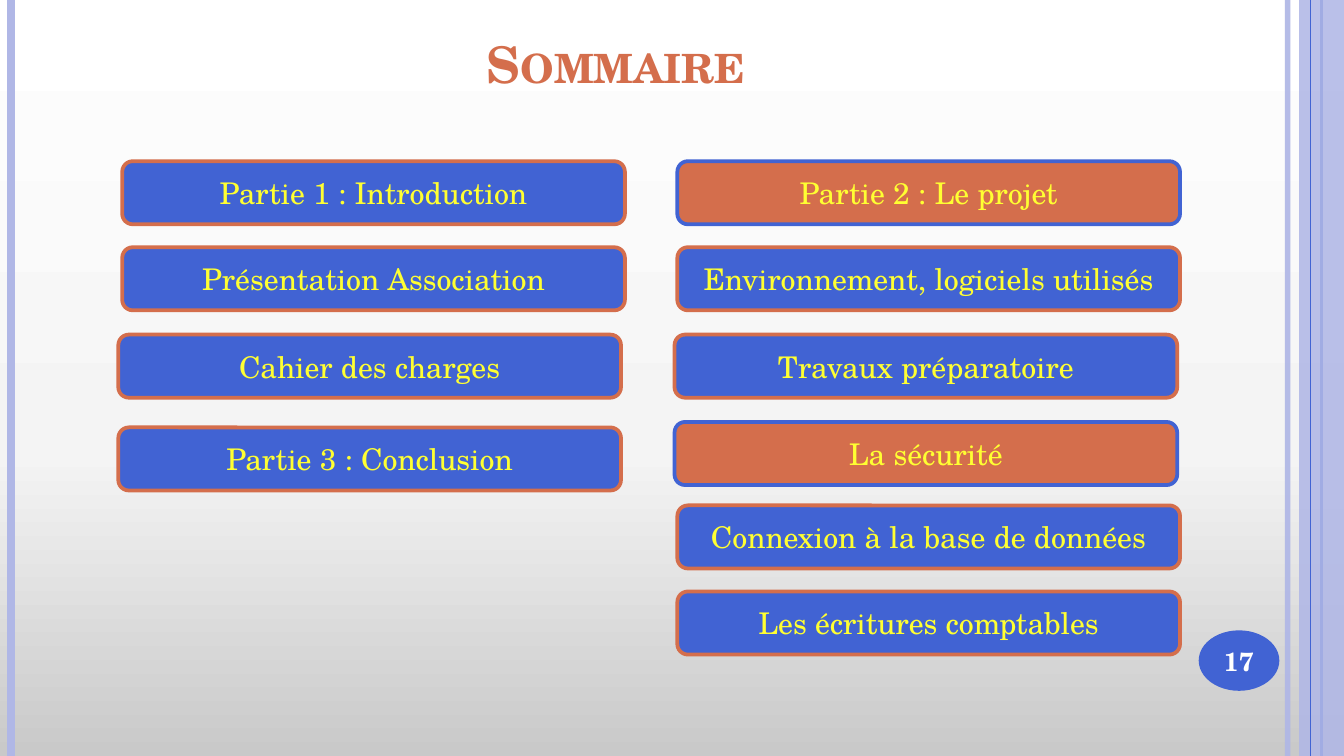
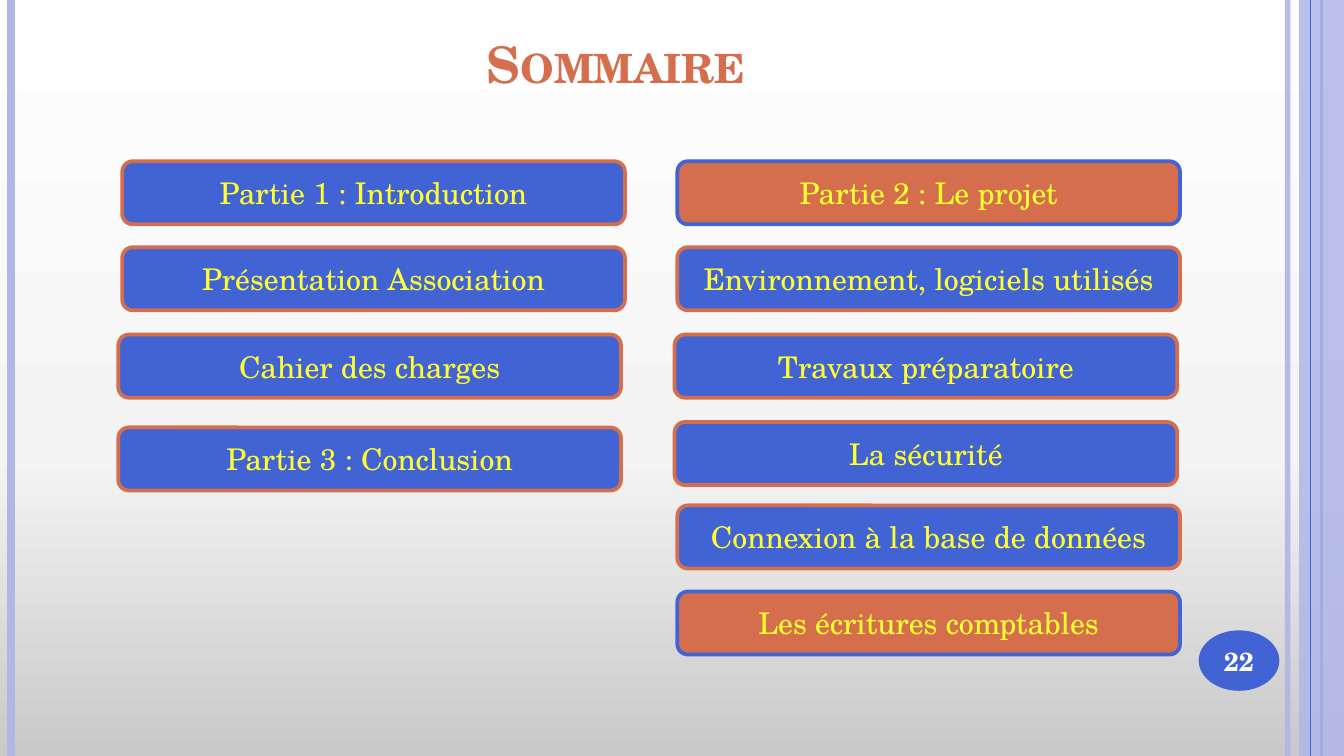
"""Build the two "Sommaire" agenda slides, each highlighting its current section."""
from copy import deepcopy
from dataclasses import dataclass

from pptx import Presentation
from pptx import util as u
from pptx.dml.color import RGBColor
from pptx.enum import shapes, text
from pptx.oxml.ns import qn
from lxml import etree

Pt = u.Pt
WIDTH, HEIGHT = 720, 405
FONT = "TeX Gyre Schola"
BLUE, ORANGE, LILAC = "4163D3", "D46E4C", "B0B7E6"
YELLOW, WHITE = "FFFF32", "FFFFFF"
BACKGROUND = [(0, "C9C9C9"), (0.4, "F4F4F4"), (1, "FFFFFF")]

BOX_W, BOX_H = 269.3, 33.8
FIRST_TOP, ROW_PITCH = 86.4, 46.1
LEFT, RIGHT = 65.5, 362.9


@dataclass(frozen=True)
class Rule:
    x: float
    color: str
    weight: float
    alpha: int = 100


@dataclass(frozen=True)
class Entry:
    label: str
    column: float
    row: int
    dx: float = 0
    dy: float = 0


@dataclass(frozen=True)
class Agenda:
    number: int
    current: str


RULES_BEHIND = [Rule(689.8, LILAC, 3, 93), Rule(5.8, LILAC, 4.5), Rule(707.8, BLUE, 1.5)]
RULE_FRONT = Rule(702, BLUE, 0.75)
CHAPTER = "Partie 2 : Le projet"
ENTRIES = [
    Entry("Partie 1 : Introduction", LEFT, 0),
    Entry("Présentation Association", LEFT, 1),
    Entry("Cahier des charges", LEFT, 2, dx=-2.1, dy=0.7),
    Entry("Partie 3 : Conclusion", LEFT, 3, dx=-2.1, dy=4.3),
    Entry(CHAPTER, RIGHT, 0),
    Entry("Environnement, logiciels utilisés", RIGHT, 1),
    Entry("Travaux préparatoire", RIGHT, 2, dx=-1.5, dy=0.7),
    Entry("La sécurité", RIGHT, 3, dx=-1.5, dy=1.4),
    Entry("Connexion à la base de données", RIGHT, 4),
    Entry("Les écritures comptables", RIGHT, 5),
]
AGENDAS = [Agenda(17, "La sécurité"), Agenda(22, "Les écritures comptables")]


def rgb(color: str) -> RGBColor:
    return RGBColor.from_string(color)


def set_alpha(sp, percent: int) -> None:
    clr = next(sp.element.spPr.iter(qn("a:srgbClr")))
    etree.SubElement(clr, qn("a:alpha")).set("val", str(percent * 1000))


def style_text(tf, content: str, size: float, color: str, bold: bool = False) -> None:
    tf.text = content
    p = tf.paragraphs[0]
    p.alignment = text.PP_ALIGN.CENTER
    r = p.runs[0]
    r.font.name, r.font.size, r.font.bold = FONT, Pt(size), bold
    r.font.color.rgb = rgb(color)


def add_block(s, kind, left: float, top: float, width: float, height: float, fill: str):
    sp = s.shapes.add_shape(kind, Pt(left), Pt(top), Pt(width), Pt(height))
    sp.shadow.inherit = False
    sp.fill.solid()
    sp.fill.fore_color.rgb = rgb(fill)
    sp.line.fill.background()
    tf = sp.text_frame
    tf.margin_left = tf.margin_right = tf.margin_top = tf.margin_bottom = 0
    tf.vertical_anchor = text.MSO_ANCHOR.MIDDLE
    return sp


def add_rule(s, rule: Rule) -> None:
    cn = s.shapes.add_connector(
        shapes.MSO_CONNECTOR.STRAIGHT, Pt(rule.x), 0, Pt(rule.x), Pt(HEIGHT))
    cn.line.color.rgb = rgb(rule.color)
    cn.line.width = Pt(rule.weight)
    etree.SubElement(cn.element.spPr, qn("a:effectLst"))
    if rule.alpha < 100:
        set_alpha(cn, rule.alpha)


def add_frame(s, number: int) -> None:
    for rule in RULES_BEHIND:
        add_rule(s, rule)
    band = add_block(s, shapes.MSO_SHAPE.RECTANGLE, 696, 0, 24, HEIGHT, LILAC)
    set_alpha(band, 87)
    add_rule(s, RULE_FRONT)
    badge = add_block(s, shapes.MSO_SHAPE.OVAL, 642.2, 337.7, 43.2, 32.4, BLUE)
    style_text(badge.text_frame, str(number), 14, WHITE, bold=True)


def add_title(s, content: str) -> None:
    sp = s.shapes.title
    sp.left, sp.top, sp.width, sp.height = Pt(36), Pt(16.6), Pt(588), Pt(37.4)
    tf = sp.text_frame
    tf.vertical_anchor = text.MSO_ANCHOR.BOTTOM
    style_text(tf, content, 27, ORANGE, bold=True)
    tf.paragraphs[0].runs[0].font._element.set("cap", "small")


def add_entry(s, entry: Entry, active: bool) -> None:
    fill, border = (ORANGE, BLUE) if active else (BLUE, ORANGE)
    top = FIRST_TOP + entry.row * ROW_PITCH + entry.dy
    sp = add_block(s, shapes.MSO_SHAPE.ROUNDED_RECTANGLE,
                   entry.column + entry.dx, top, BOX_W, BOX_H, fill)
    sp.line.color.rgb = rgb(border)
    sp.line.width = Pt(2)
    style_text(sp.text_frame, entry.label, 16, YELLOW)


def set_background(master) -> None:
    fill = master.background.fill
    fill.gradient()
    fill.gradient_angle = 90
    stops = next(master.element.iter(qn("a:gsLst")))
    stops.append(deepcopy(stops[0]))
    for stop, (position, color) in zip(fill.gradient_stops, BACKGROUND):
        stop.position = position
        stop.color.rgb = rgb(color)


def main() -> None:
    prs = Presentation()
    prs.slide_width, prs.slide_height = Pt(WIDTH), Pt(HEIGHT)
    set_background(prs.slide_master)
    for agenda in AGENDAS:
        s = prs.slides.add_slide(prs.slide_layouts[5])
        add_frame(s, agenda.number)
        add_title(s, "Sommaire")
        for entry in ENTRIES:
            add_entry(s, entry, entry.label in (CHAPTER, agenda.current))
    prs.save("out.pptx")


if __name__ == "__main__":
    main()
